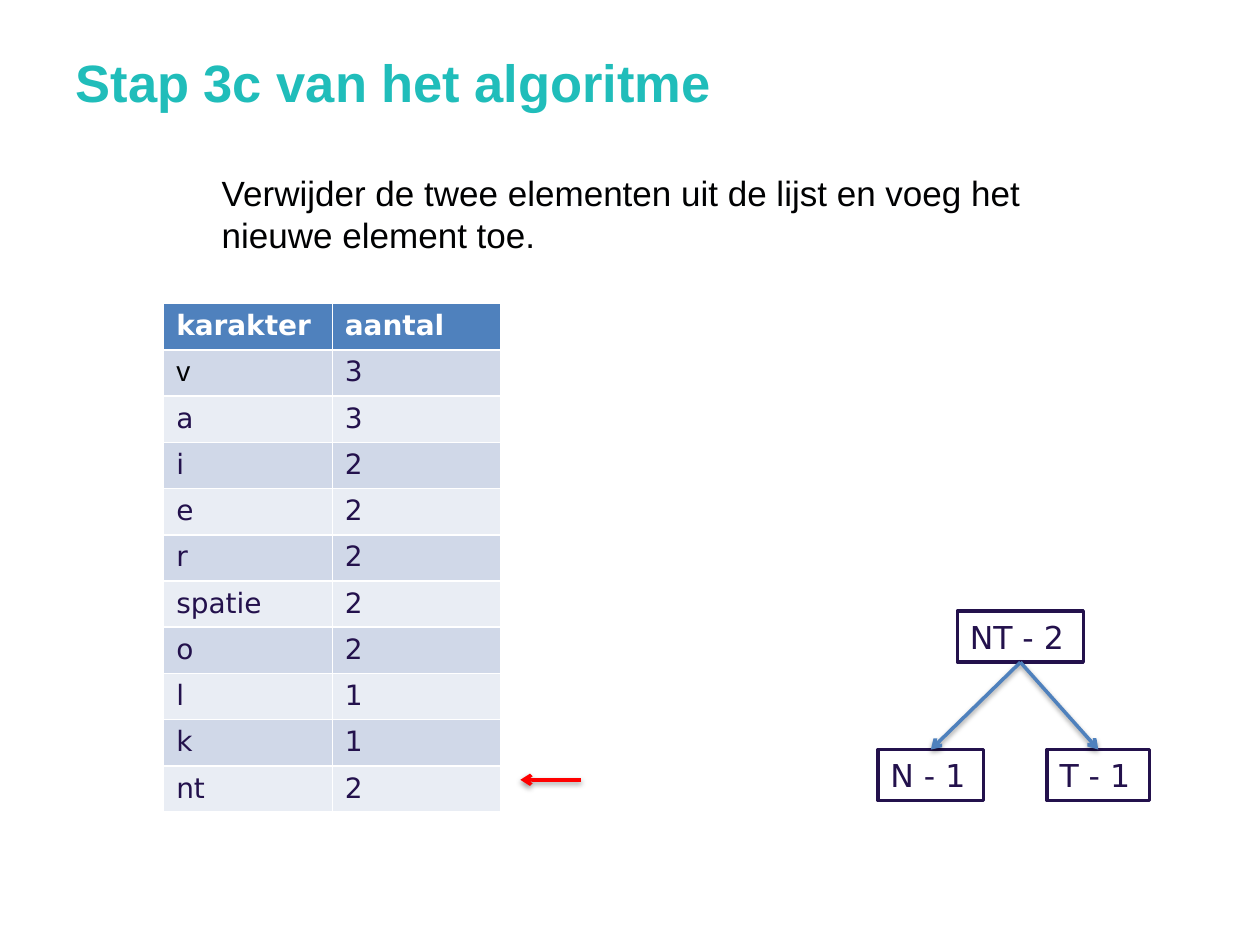
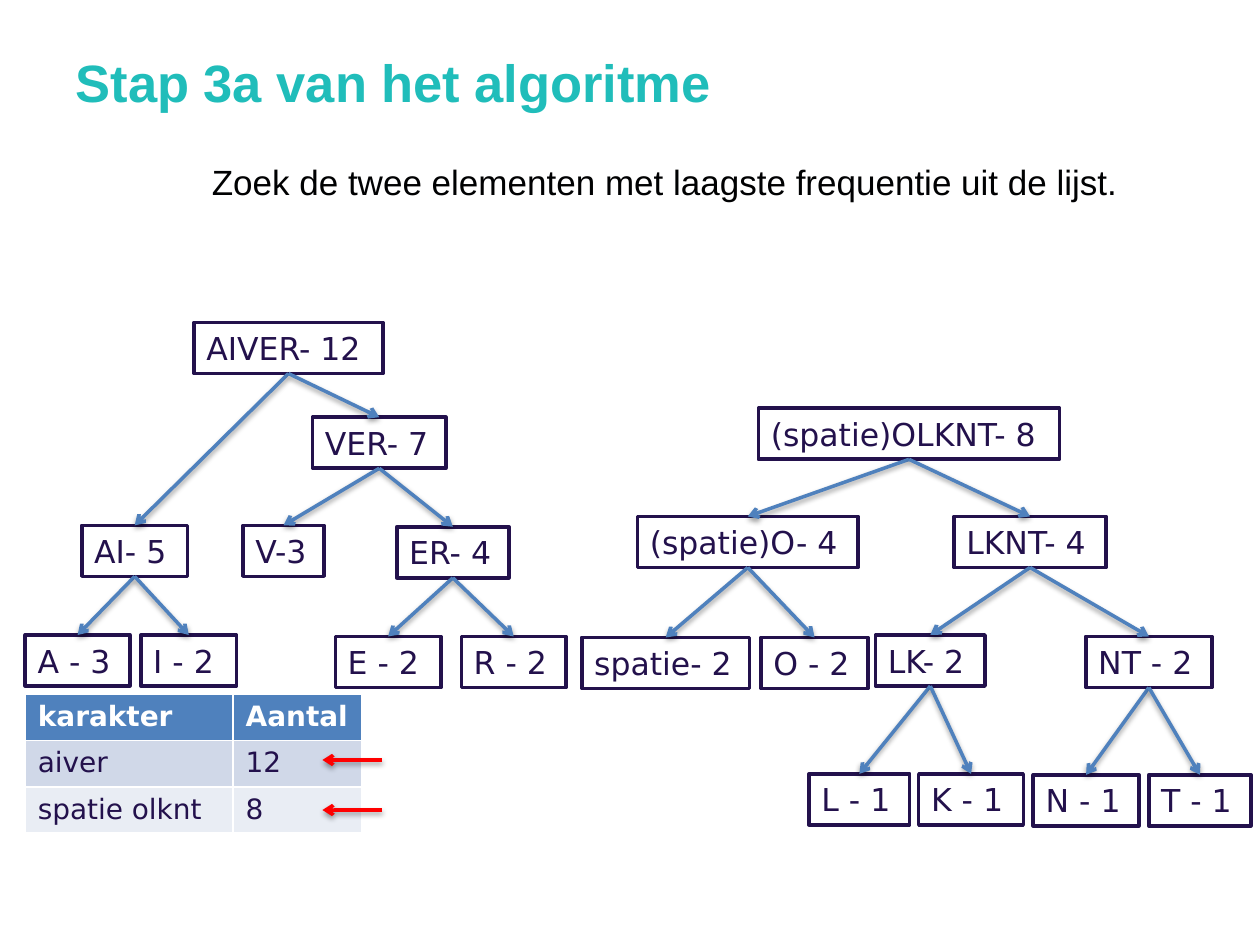
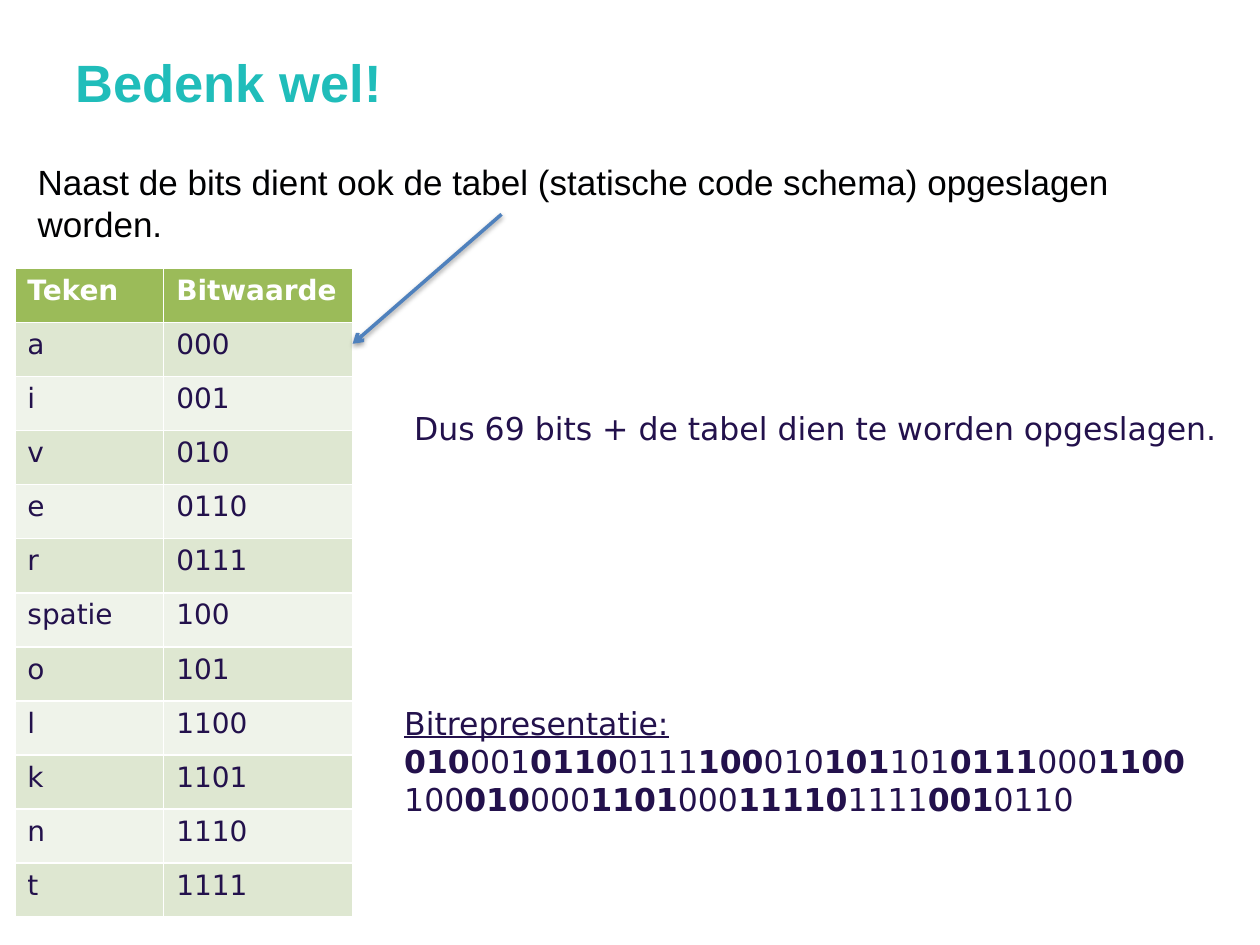
from pptx import Presentation
from pptx.dml.color import RGBColor
from pptx.enum.shapes import MSO_CONNECTOR, MSO_SHAPE
from pptx.enum.text import MSO_ANCHOR, MSO_AUTO_SIZE, PP_ALIGN
from pptx.oxml import parse_xml
from pptx.oxml.ns import nsdecls
from pptx.util import Cm, Pt

RECT = MSO_SHAPE.RECTANGLE
LINE = MSO_CONNECTOR.STRAIGHT
TOP = MSO_ANCHOR.TOP
LEFT = PP_ALIGN.LEFT
FIXED = MSO_AUTO_SIZE.NONE

TEAL = RGBColor(0x20, 0xBD, 0xBA)
BLACK = RGBColor(0x00, 0x01, 0x02)
DARK = RGBColor(0x23, 0x11, 0x4C)
WHITE = RGBColor(0xFF, 0xFF, 0xFF)
RED = RGBColor(0xFF, 0x00, 0x00)
BLUE = RGBColor(0x4F, 0x81, 0xBD)
BLUES = BLUE, RGBColor(0xD0, 0xD8, 0xE8), RGBColor(0xE9, 0xED, 0xF4)
GREENS = (RGBColor(0x9B, 0xBB, 0x59), RGBColor(0xDE, 0xE7, 0xD1),
          RGBColor(0xEF, 0xF3, 0xEA))

SANS = "DejaVu Sans"
HEAD = 30, "Arial", TEAL, True
LEAD = 20, "Arial", BLACK, False
NOTE = 18, SANS, DARK, False
CELL = 16, SANS, DARK, False
BAND = 16, SANS, WHITE, True
MARK = 16, "Arial", BLACK, False

SHADE = (f'<a:effectLst {nsdecls("a")}><a:outerShdw blurRad="39370" dist="20320" '
         'dir="5400000" rotWithShape="0"><a:srgbClr val="000000">'
         '<a:alpha val="38000"/></a:srgbClr></a:outerShdw></a:effectLst>')
TIP = f'<a:tailEnd {nsdecls("a")} type="arrow"/>'


def style(par, look):
    font = par.font
    size, font.name, font.color.rgb, font.bold = look
    font.size = Pt(size)


def arrow(slide, tint, x1=0, y1=0, x2=0, y2=0):
    link = slide.shapes.add_connector(LINE, Cm(x1), Cm(y1), Cm(x2), Cm(y2))
    link.line.color.rgb = tint
    link.line.width = Pt(2)
    link.line._get_or_add_ln().append(parse_xml(TIP))
    link._element.spPr.append(parse_xml(SHADE))
    return link


deck = Presentation()
deck.slide_width, deck.slide_height = Cm(25.4), Cm(19.05)

pages = []
for name in ("Stap 3c van het algoritme", "Stap 3a van het algoritme", "Bedenk wel!"):
    slide = deck.slides.add_slide(deck.slide_layouts[5])
    title = slide.shapes.title
    title.left, title.top, title.width, title.height = Cm(1.27), Cm(0.76), Cm(22.86), Cm(1.96)
    frame = title.text_frame
    frame.text = name
    frame.auto_size = FIXED
    frame.vertical_anchor = TOP
    frame.margin_top = Cm(0.25)
    frame.paragraphs[0].alignment = LEFT
    style(frame.paragraphs[0], HEAD)
    pages.append(slide)
first, second, third = pages

texts = [
    (first, 3.1, 3.33, 19.61, 2.82, 1.12, LEAD,
     "Verwijder de twee elementen uit de lijst en voeg het nieuwe element toe."),
    (second, 2.9, 3.12, 20.4, 1.12, 1.12, LEAD,
     "Zoek de twee elementen met laagste frequentie uit de lijst."),
    (third, 0.51, 3.12, 24, 1.96, 0, LEAD,
     "Naast de bits dient ook de tabel (statische code schema) opgeslagen worden."),
    (third, 8.1, 8.13, 16.92, 1.02, 0, NOTE,
     "Dus 69 bits + de tabel dien te worden opgeslagen."),
]
for slide, x, y, wide, high, dent, look, words in texts:
    frame = slide.shapes.add_textbox(Cm(x), Cm(y), Cm(wide), Cm(high)).text_frame
    frame.word_wrap = True
    frame.text = words
    par = frame.paragraphs[0]
    if dent:
        par.level = 1
        par._p.get_or_add_pPr().set("marL", str(Cm(dent)))
    style(par, look)

tables = [
    (first, 3.3, 6.12, (3.4, 3.4), 0.93, BLUES,
     [("karakter", "aantal"), ("v", "3"), ("a", "3"), ("i", "2"), ("e", "2"), ("r", "2"),
      ("spatie", "2"), ("o", "2"), ("l", "1"), ("k", "1"), ("nt", "2")]),
    (second, 0.51, 14, (4.19, 2.59), 0.93, BLUES,
     [("karakter", "Aantal"), ("aiver", "12"), ("spatie olknt", "8")]),
    (third, 0.3, 5.41, (3, 3.81), 1.09, GREENS,
     [("Teken", "Bitwaarde"), ("a", "000"), ("i", "001"), ("v", "010"), ("e", "0110"),
      ("r", "0111"), ("spatie", "100"), ("o", "101"), ("l", "1100"), ("k", "1101"),
      ("n", "1110"), ("t", "1111")]),
]
for slide, x, y, cols, high, fills, rows in tables:
    grid = slide.shapes.add_table(len(rows), len(cols), Cm(x), Cm(y),
                                  Cm(sum(cols)), Cm(high * len(rows))).table
    for col, wide in zip(grid.columns, cols):
        col.width = Cm(wide)
    for r, row in enumerate(rows):
        grid.rows[r].height = Cm(high)
        for c, words in enumerate(row):
            cell = grid.cell(r, c)
            cell.text = words
            cell.fill.solid()
            cell.fill.fore_color.rgb = fills[0] if r == 0 else fills[2 - r % 2]
            look = BAND if r == 0 else MARK if words == "v" and slide is first else CELL
            style(cell.text_frame.paragraphs[0], look)

trees = [
    (first, [
        ("NT - 2", 19.3, 12.32, 2.54, None),
        ("N - 1", 17.7, 15.11, 2.13, "NT - 2"),
        ("T - 1", 21.11, 15.11, 2.06, "NT - 2"),
    ]),
    (second, [
        ("AIVER- 12", 3.91, 6.5, 3.81, None),
        ("AI- 5", 1.65, 10.59, 2.13, "AIVER- 12"),
        ("VER- 7", 6.3, 8.41, 2.69, "AIVER- 12"),
        ("V-3", 4.9, 10.59, 1.63, "VER- 7"),
        ("ER- 4", 8, 10.62, 2.26, "VER- 7"),
        ("A - 3", 0.51, 12.8, 2.11, "AI- 5"),
        ("I - 2", 2.84, 12.8, 1.93, "AI- 5"),
        ("E - 2", 6.76, 12.83, 2.13, "ER- 4"),
        ("R - 2", 9.3, 12.83, 2.11, "ER- 4"),
        ("(spatie)OLKNT- 8", 15.29, 8.23, 6.07, None),
        ("(spatie)O- 4", 12.85, 10.41, 4.45, "(spatie)OLKNT- 8"),
        ("LKNT- 4", 19.23, 10.41, 3.07, "(spatie)OLKNT- 8"),
        ("spatie- 2", 11.73, 12.85, 3.38, "(spatie)O- 4"),
        ("O - 2", 15.34, 12.85, 2.16, "(spatie)O- 4"),
        ("LK- 2", 17.65, 12.8, 2.21, "LKNT- 4"),
        ("NT - 2", 21.89, 12.83, 2.54, "LKNT- 4"),
        ("L - 1", 16.31, 15.6, 2.03, "LK- 2"),
        ("K - 1", 18.52, 15.6, 2.11, "LK- 2"),
        ("N - 1", 20.83, 15.62, 2.13, "NT - 2"),
        ("T - 1", 23.16, 15.62, 2.06, "NT - 2"),
    ]),
]
for slide, nodes in trees:
    boxes = {}
    for words, x, y, wide, root in nodes:
        box = slide.shapes.add_shape(RECT, Cm(x), Cm(y), Cm(wide), Cm(1.03))
        box.shadow.inherit = False
        box.fill.solid()
        box.fill.fore_color.rgb = WHITE
        box.line.color.rgb = DARK
        box.line.width = Pt(2)
        box.text_frame.text = words
        box.text_frame.word_wrap = False
        par = box.text_frame.paragraphs[0]
        par.alignment = LEFT
        style(par, NOTE)
        boxes[words] = box
        if root:
            link = arrow(slide, BLUE)
            link.begin_connect(boxes[root], 2)
            link.end_connect(box, 0)

arrow(first, RED, 11.71, 15.72, 10.49, 15.72)
for y in (15.32, 16.33):
    arrow(second, RED, 7.7, y, 6.5, y)
arrow(third, BLUE, 10.11, 4.32, 7.11, 6.93)

frame = third.shapes.add_textbox(Cm(7.9), Cm(14.07), Cm(16.61), Cm(3.33)).text_frame
frame.word_wrap = True
frame.text = "Bitrepresentatie:"
style(frame.paragraphs[0], NOTE)
frame.paragraphs[0].font.underline = True
codes = [
    (True, "010 001 0110 0111 100 010 101 101 0111 000 1100"),
    (False, "100 010 000 1101 000 11110 1111 001 0110"),
]
for bold, line in codes:
    par = frame.add_paragraph()
    style(par, NOTE)
    for bits in line.split():
        run = par.add_run()
        run.text = bits
        run.font.bold = bold
        bold = not bold

deck.save("out.pptx")
